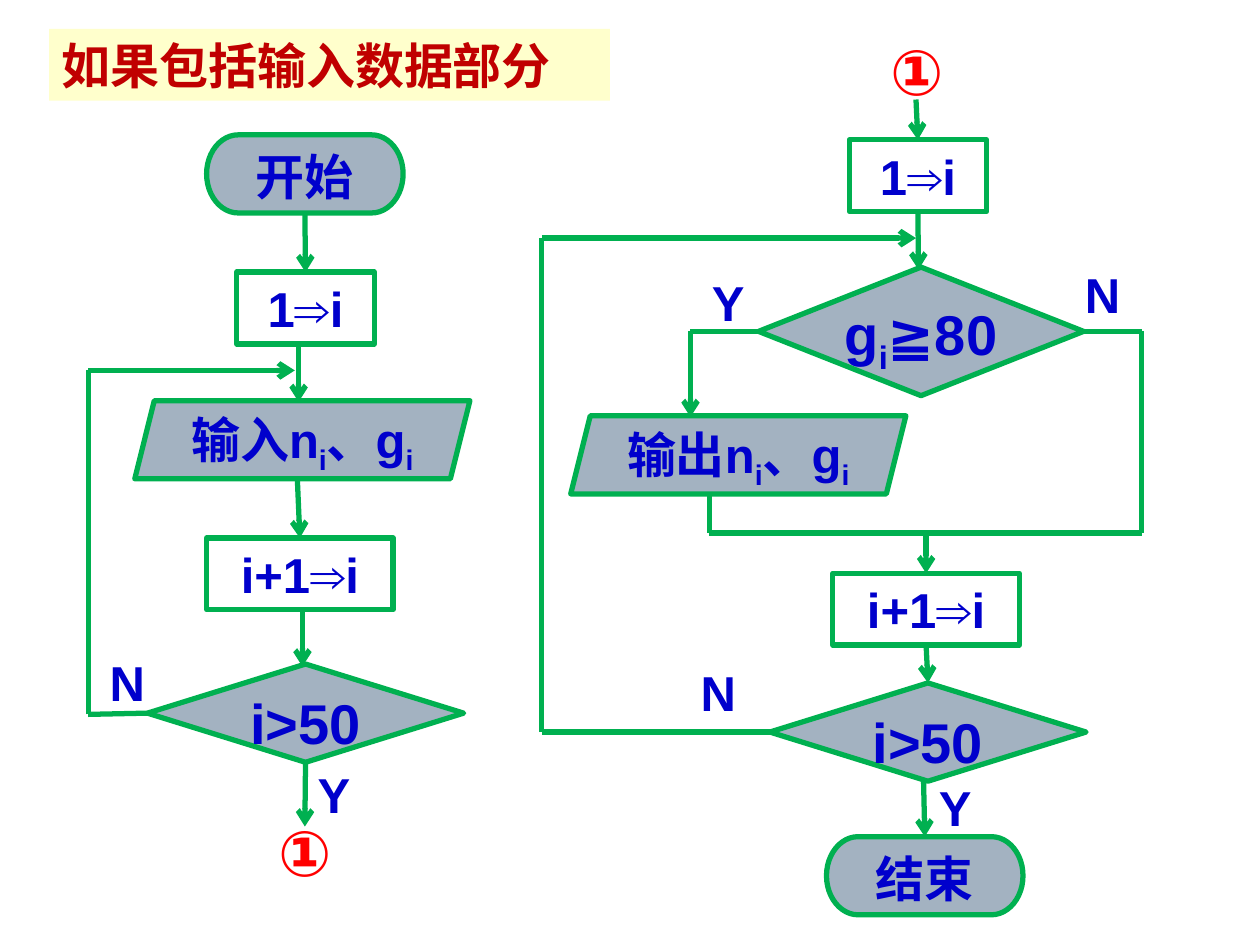
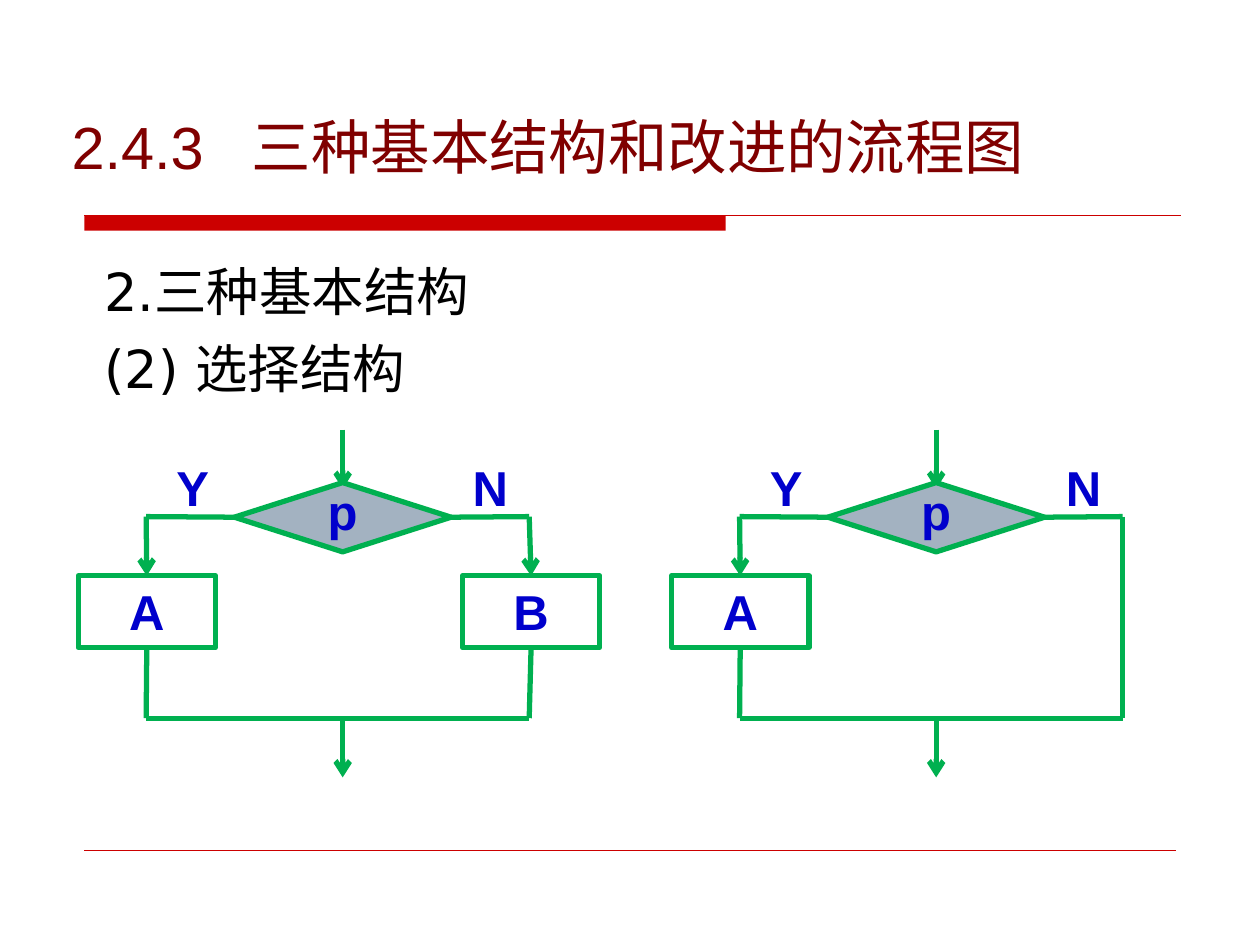
import pptx
import pptx.dml.color
import pptx.enum.shapes
import pptx.enum.text
import pptx.oxml.ns
import pptx.shapes.base
import pptx.util
from lxml import etree

SLIDE_W = pptx.util.Inches(10)
SLIDE_H = pptx.util.Inches(7.5)
COL = SLIDE_W / 100
ROW = SLIDE_H / 75

GREEN = "00B050"
BLUE = "0000CC"
STEEL = "A3B2C1"
RED = "FF0000"
BAND_RED = "CC0000"

SHAPE = pptx.enum.shapes.MSO_SHAPE
ALIGN = pptx.enum.text.PP_ALIGN
ANCHOR = pptx.enum.text.MSO_ANCHOR
AUTO_SIZE = pptx.enum.text.MSO_AUTO_SIZE
SITES = [(0.5, 0), (0, 0.5), (0.5, 1), (1, 0.5)]
TOP, LEFT, BOTTOM, RIGHT = range(4)
BOX_H = 5.7


def color(value):
    return pptx.dml.color.RGBColor.from_string(value)


def qn(name):
    return pptx.oxml.ns.qn(name)


def grid(x, y, w, h):
    return round(x * COL), round(y * ROW), round(w * COL), round(h * ROW)


def set_font(p, size, tint, bold=True, name="Arial"):
    p.font.name = name
    p.font.size = pptx.util.Pt(size)
    p.font.bold = bold
    p.font.color.rgb = color(tint)


def add_runs(p, text):
    for n, part in enumerate(text.split("_")):
        if n:
            r = p.add_run()
            r.text = part[0]
            r.font._element.set("baseline", "-25000")
            part = part[1:]
        if part:
            p.add_run().text = part


def write(sp, text, size=28, tint=BLUE, align=ALIGN.CENTER):
    tf = sp.text_frame
    tf.word_wrap = True
    tf.auto_size = AUTO_SIZE.SHAPE_TO_FIT_TEXT
    tf.vertical_anchor = ANCHOR.TOP
    p = tf.paragraphs[0]
    p.alignment = align
    add_runs(p, text)
    set_font(p, size, tint)


def write_tight(sp, text, size=28):
    write(sp, text, size)
    tf = sp.text_frame
    tf.word_wrap = False
    tf.auto_size = AUTO_SIZE.NONE
    tf.margin_left = tf.margin_top = tf.margin_right = tf.margin_bottom = 0


def add_shape(s, kind, box, fill=None, line=GREEN):
    sp = s.shapes.add_shape(kind, *grid(*box))
    sp.shadow.inherit = False
    if fill:
        sp.fill.solid()
        sp.fill.fore_color.rgb = color(fill)
    else:
        sp.fill.background()
    if line:
        sp.line.color.rgb = color(line)
        sp.line.width = pptx.util.Pt(3)
    else:
        sp.line.fill.background()
    return sp


def step(s, x, y, w, text):
    sp = add_shape(s, SHAPE.RECTANGLE, (x, y, w, BOX_H))
    write(sp, text)
    return sp


def terminal(s, x, y, text):
    sp = add_shape(s, SHAPE.FLOWCHART_TERMINATOR, (x, y, 15.6, 6.2), STEEL)
    write_tight(sp, text)
    return sp


def data(s, x, y, text):
    sp = add_shape(s, SHAPE.PARALLELOGRAM, (x, y, 26.6, 6.2), STEEL)
    write_tight(sp, text)
    return sp


def decision(s, x, y, w, h, text=""):
    sp = add_shape(s, SHAPE.FLOWCHART_DECISION, (x, y, w, h), STEEL)
    if text:
        write_tight(sp, text, 32)
    return sp


def label(s, x, y, text, w=6.2):
    sp = s.shapes.add_textbox(*grid(x, y, w, BOX_H))
    write(sp, text)
    return sp


def junction(s, x, y):
    sp = s.shapes.add_textbox(*grid(x, y, 7.8, 7))
    write(sp, "①", 36, RED)


def is_joint(spot):
    return isinstance(spot[0], pptx.shapes.base.BaseShape)


def locate(spot):
    if is_joint(spot):
        sp, site = spot
        fx, fy = SITES[site]
        return round(sp.left + fx * sp.width), round(sp.top + fy * sp.height)
    return round(spot[0] * COL), round(spot[1] * ROW)


def segment(s, begin, end, tint=GREEN, width=3, arrow=False):
    c = s.shapes.add_connector(
        pptx.enum.shapes.MSO_CONNECTOR.STRAIGHT, *locate(begin), *locate(end))
    if is_joint(begin):
        c.begin_connect(*begin)
    if is_joint(end):
        c.end_connect(*end)
    c.line.color.rgb = color(tint)
    c.line.width = pptx.util.Pt(width)
    if arrow:
        etree.SubElement(c.line._get_or_add_ln(), qn("a:tailEnd"), type="arrow")
    etree.SubElement(c._element.spPr, qn("a:effectLst"))


def route(s, *spots, arrow=True):
    last = len(spots) - 2
    for n, (begin, end) in enumerate(zip(spots, spots[1:])):
        segment(s, begin, end, arrow=arrow and n == last)


def heading(s, text):
    sp = add_shape(s, SHAPE.RECTANGLE, (3.9, 2.3, 44.5, BOX_H), "FFFFCC", None)
    write(sp, text, tint="C00000", align=ALIGN.LEFT)


def title_frame(s, number, text):
    add_shape(s, SHAPE.RECTANGLE, (6.7, 17.1, 50.9, 1.2), BAND_RED, None)
    segment(s, (6.7, 17.1), (93.7, 17.1), BAND_RED, 0.75)
    segment(s, (6.7, 67.5), (93.3, 67.5), BAND_RED, 0.25)
    sp = s.shapes.add_textbox(*grid(4.7, 8.2, 91.4, 6.7))
    tf = sp.text_frame
    tf.word_wrap = True
    tf.vertical_anchor = ANCHOR.MIDDLE
    p = tf.paragraphs[0]
    p.text = number + "\t" + text
    tabs = etree.SubElement(p._p.get_or_add_pPr(), qn("a:tabLst"))
    etree.SubElement(tabs, qn("a:tab"), pos=str(round(14.3 * COL)), algn="l")
    set_font(p, 34, "800000", False)


def body(s, lines):
    tf = s.shapes.add_textbox(*grid(7.3, 20.1, 83.6, 15.6)).text_frame
    tf.word_wrap = True
    for n, text in enumerate(lines):
        p = tf.add_paragraph() if n else tf.paragraphs[0]
        p.text = text
        if n:
            p.space_before = pptx.util.Pt(7.5)
        set_font(p, 30, "000000", False, "DejaVu Sans")


def input_flow(s):
    start = terminal(s, 16.4, 10.7, "开始")
    init = step(s, 18.8, 21.6, 10.9, "1⇒i")
    data(s, 10.7, 31.8, "输入n_i、g_i")
    count = step(s, 16.4, 42.7, 14.8, "i+1⇒i")
    test = decision(s, 11.7, 52.7, 25.1, 7.8, "i>50")
    route(s, (start, BOTTOM), (init, TOP))
    route(s, (23.7, 27.2), (23.7, 31.9))
    route(s, (23.6, 38), (count, TOP))
    route(s, (24, 48.2), (24, 52.9))
    route(s, (test, BOTTOM), (24.2, 65.6))
    route(s, (test, LEFT), (7, 56.7), (7, 29.4), (23.4, 29.4))
    label(s, 7, 51.3, "N")
    label(s, 23.4, 60.2, "Y")
    junction(s, 20.3, 64.1)


def output_flow(s):
    init = step(s, 67.4, 11.1, 10.9, "1⇒i")
    grade = decision(s, 60.2, 21.2, 25.8, 10.2, "g_i≧80")
    data(s, 45.3, 33, "输出n_i、g_i")
    count = step(s, 66.1, 45.5, 14.8, "i+1⇒i")
    test = decision(s, 61.1, 54.2, 25.1, 7.8, "i>50")
    stop = terminal(s, 65.6, 66.4, "结束")
    junction(s, 68.9, 2.1)
    route(s, (72.7, 7.9), (init, TOP))
    route(s, (init, BOTTOM), (72.9, 21.4))
    route(s, (grade, LEFT), (54.8, 26.3), (54.8, 33.1))
    route(s, (grade, RIGHT), (90.6, 26.3), (90.6, 42.3), (56.3, 42.3),
          (56.3, 39.2), arrow=False)
    route(s, (73.5, 42.3), (count, TOP))
    route(s, (count, BOTTOM), (test, TOP))
    route(s, (test, LEFT), (43, 58.1), (43, 18.9), (72.7, 18.9))
    route(s, (73.3, 62), (stop, TOP))
    label(s, 54.7, 21.1, "Y")
    label(s, 84.4, 20.5, "N")
    label(s, 53.9, 52.1, "N")
    label(s, 72.7, 61.2, "Y")


def selection(s, x, has_else):
    yes, mid, no = x + 5.4, x + 21, x + 35.8
    fork, merge = 41, 57
    route(s, (mid, 34.1), (mid, 38.8))
    test = decision(s, x + 12.4, 38.3, 17.2, 5.5)
    name = label(s, x + 17.9, 37.7, "p")
    s.shapes.add_group_shape([test, name])
    box_a = step(s, x, 45.7, 10.9, "A")
    route(s, (test, LEFT), (yes, fork), (box_a, TOP))
    route(s, (box_a, BOTTOM), (yes, merge), (no, merge), arrow=False)
    if has_else:
        box_b = step(s, x + 30.5, 45.7, 10.9, "B")
        route(s, (test, RIGHT), (no, fork), (box_b, TOP))
        route(s, (box_b, BOTTOM), (no, merge), arrow=False)
    else:
        route(s, (test, RIGHT), (no, fork), (no, merge), arrow=False)
    route(s, (mid, merge), (mid, 61.7))
    label(s, x + 5.2, 35.8, "Y", 7.8)
    label(s, x + 28.8, 35.8, "N", 7.8)


def main():
    prs = pptx.Presentation()
    prs.slide_width = SLIDE_W
    prs.slide_height = SLIDE_H
    blank = prs.slide_layouts[6]

    s = prs.slides.add_slide(blank)
    heading(s, "如果包括输入数据部分")
    input_flow(s)
    output_flow(s)

    s = prs.slides.add_slide(blank)
    title_frame(s, "2.4.3", "三种基本结构和改进的流程图")
    body(s, ["2.三种基本结构", "(2) 选择结构"])
    for x, has_else in [(6.2, True), (53.3, False)]:
        selection(s, x, has_else)

    prs.save("out.pptx")


if __name__ == "__main__":
    main()
